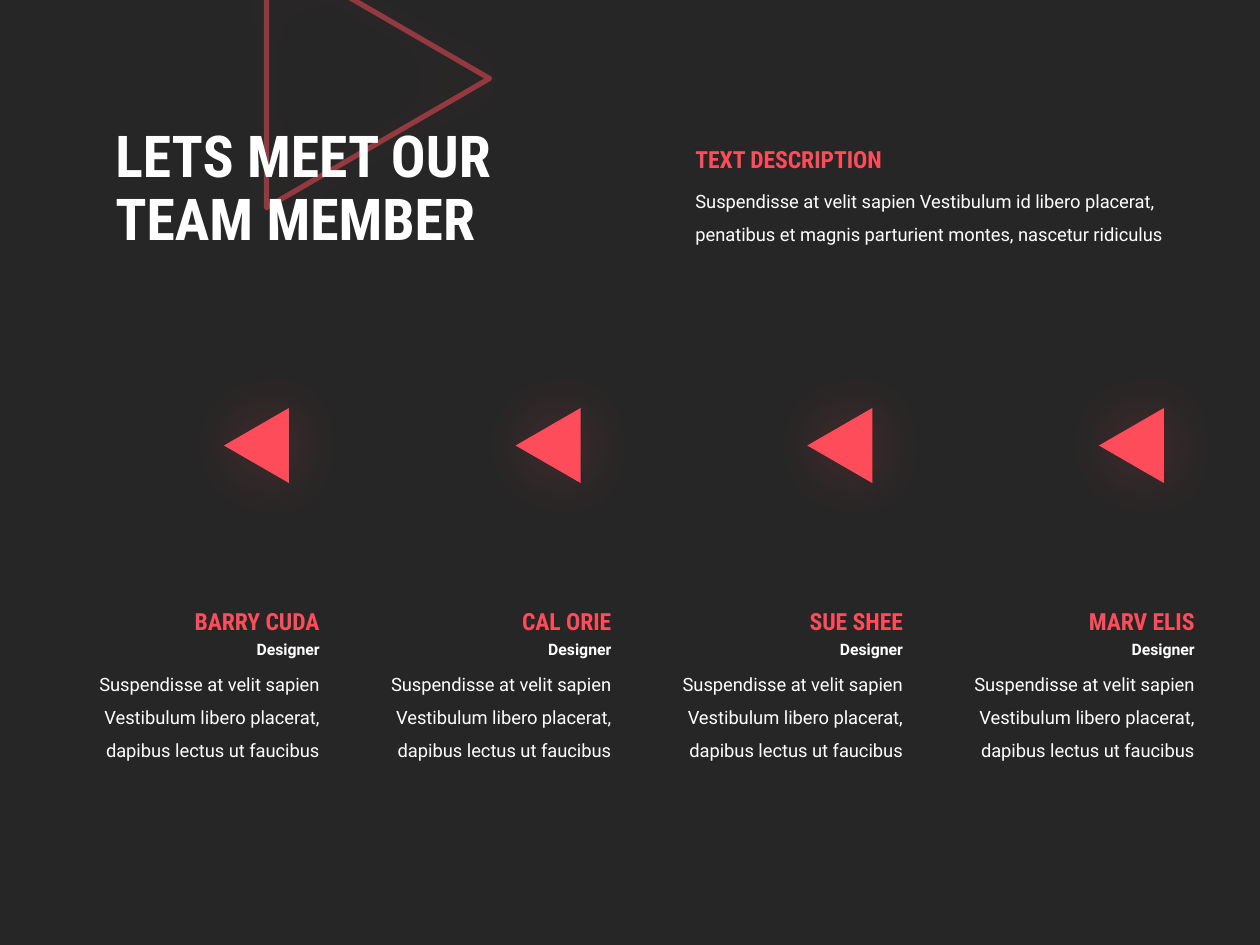
from lxml.etree import SubElement
from pptx import Presentation
from pptx.dml.color import RGBColor
from pptx.enum.shapes import MSO_SHAPE
from pptx.enum.text import MSO_ANCHOR, MSO_AUTO_SIZE, PP_ALIGN
from pptx.oxml.ns import qn
from pptx.util import Pt

SCALE = 914400 / 126
RED, WHITE, DARK = "FF4C5B", "FFFFFF", "262626"
BODY, HEAD = "Roboto", "Roboto Condensed"
TEAM = ["BARRY CUDA", "CAL ORIE", "SUE SHEE", "MARV ELIS"]


def px(*values):
    return [round(v * SCALE) for v in values]


def paint(color, value):
    color.rgb = RGBColor.from_string(value)


def add_alpha(color, percent):
    SubElement(color, qn("a:alpha"), val=str(percent * 1000))


def add_text(s, box, lines, size, font, color, bold=False,
             align=PP_ALIGN.LEFT, spacing=1.0):
    sp = s.shapes.add_textbox(*px(*box))
    tf = sp.text_frame
    tf.word_wrap = True
    tf.auto_size = MSO_AUTO_SIZE.SHAPE_TO_FIT_TEXT
    p = tf.paragraphs[0]
    p.alignment, p.line_spacing = align, spacing
    for i, line in enumerate(lines):
        if i:
            p.add_line_break()
        r = p.add_run()
        r.text = line
        r.font.size, r.font.name, r.font.bold = Pt(size), font, bold
        paint(r.font.color, color)
    return sp


def add_triangle(s, box, rotation, outlined=False):
    sp = s.shapes.add_shape(MSO_SHAPE.ISOSCELES_TRIANGLE, *px(*box))
    sp.rotation = rotation
    if outlined:
        sp.fill.background()
        paint(sp.line.color, RED)
        sp.line.width = Pt(3)
        add_alpha(sp.line._ln.find(".//" + qn("a:srgbClr")), 50)
    else:
        sp.fill.solid()
        paint(sp.fill.fore_color, RED)
        sp.line.fill.background()
    sp.shadow.inherit = False
    effects = sp._element.spPr.find(qn("a:effectLst"))
    shadow = SubElement(effects, qn("a:outerShdw"), blurRad=str(Pt(35)),
                        dist="0", dir="0", algn="ctr", rotWithShape="0")
    add_alpha(SubElement(shadow, qn("a:srgbClr"), val=RED), 25)


def add_title(s, x, y, w, h):
    add_triangle(s, (x + 146, y - 124, 258, 223), 90, outlined=True)
    sp = add_text(s, (x, y, w, h), ["LETS MEET OUR", "TEAM MEMBER"],
                  33, HEAD, WHITE, bold=True, spacing=0.9)
    sp.text_frame.auto_size = MSO_AUTO_SIZE.NONE
    sp.text_frame.vertical_anchor = MSO_ANCHOR.MIDDLE


def add_description(s, x, y, w, h):
    add_text(s, (x, y + 34, w, h - 34),
             ["Suspendisse at velit sapien Vestibulum id libero placerat, "
              "penatibus et magnis parturient montes, nascetur ridiculus"],
             10.5, BODY, WHITE, spacing=1.5)
    add_text(s, (x, y, 232, 42), ["TEXT DESCRIPTION"], 13.5, HEAD, RED, bold=True)


def add_member(s, x, y, w, h, name):
    right = PP_ALIGN.RIGHT
    add_text(s, (x, y + 243, w, h - 243),
             ["Suspendisse at velit sapien Vestibulum libero placerat, "
              "dapibus lectus ut faucibus"],
             10.5, BODY, WHITE, align=right, spacing=1.5)
    add_text(s, (x + w - 175, y + 188, 175, 42), [name], 13.5, HEAD, RED,
             bold=True, align=right)
    add_text(s, (x + w - 98, y + 221, 98, 32), ["Designer"], 9, BODY, WHITE,
             bold=True, align=right)
    add_triangle(s, (x + 155, y, 75, 65), 270)


def add_team(s, x, y, w, h):
    card = 268
    pitch = (w - card) / (len(TEAM) - 1)
    for i, name in enumerate(TEAM):
        add_member(s, x + i * pitch, y, card, h, name)


def main():
    prs = Presentation()
    prs.slide_width, prs.slide_height = px(1260, 945)
    s = prs.slides.add_slide(prs.slide_layouts[6])
    s.background.fill.solid()
    paint(s.background.fill.fore_color, DARK)
    add_title(s, 103, 91, 532, 199)
    add_team(s, 64, 413, 1143, 353)
    add_description(s, 683, 139, 524, 110)
    prs.save("out.pptx")


if __name__ == "__main__":
    main()
